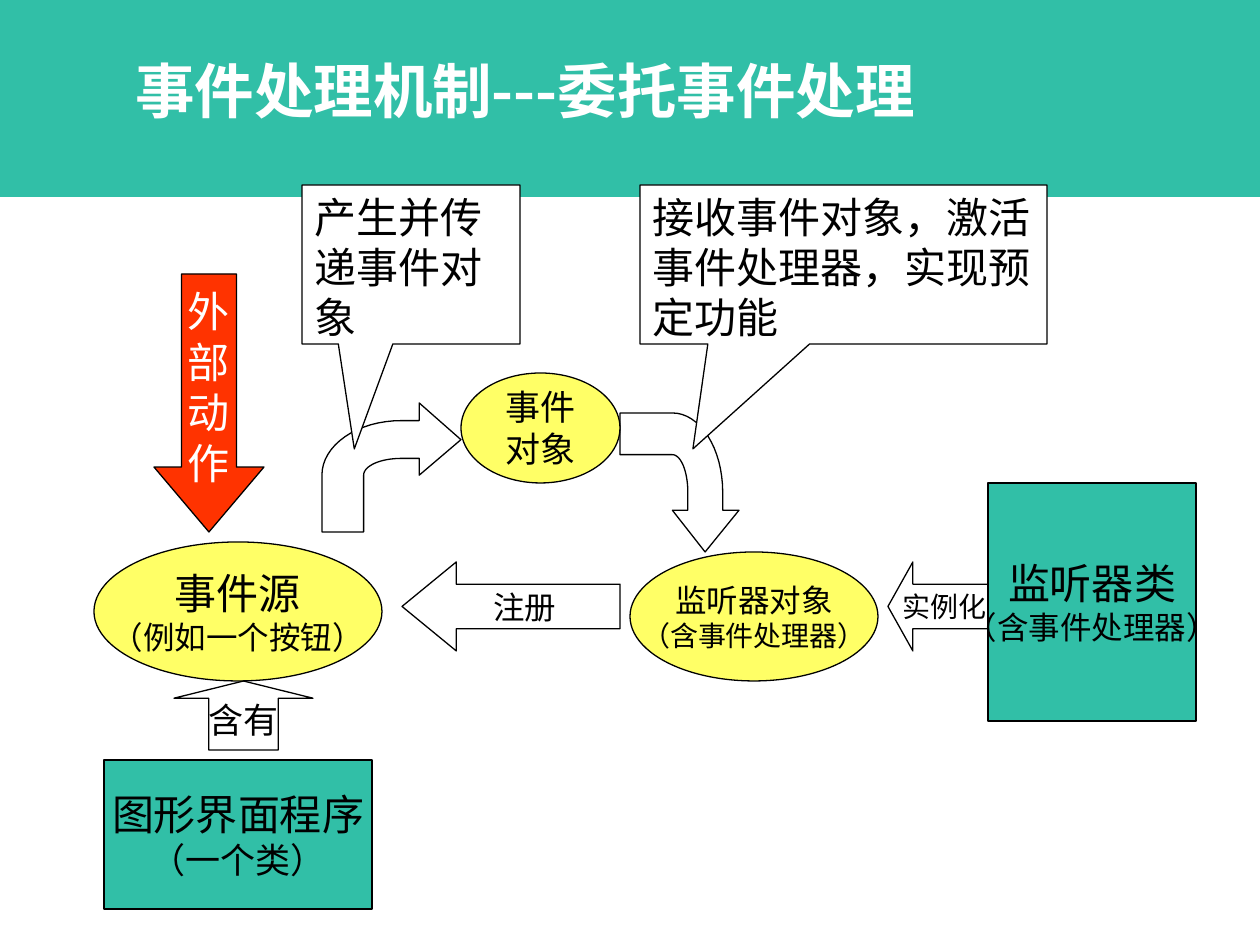
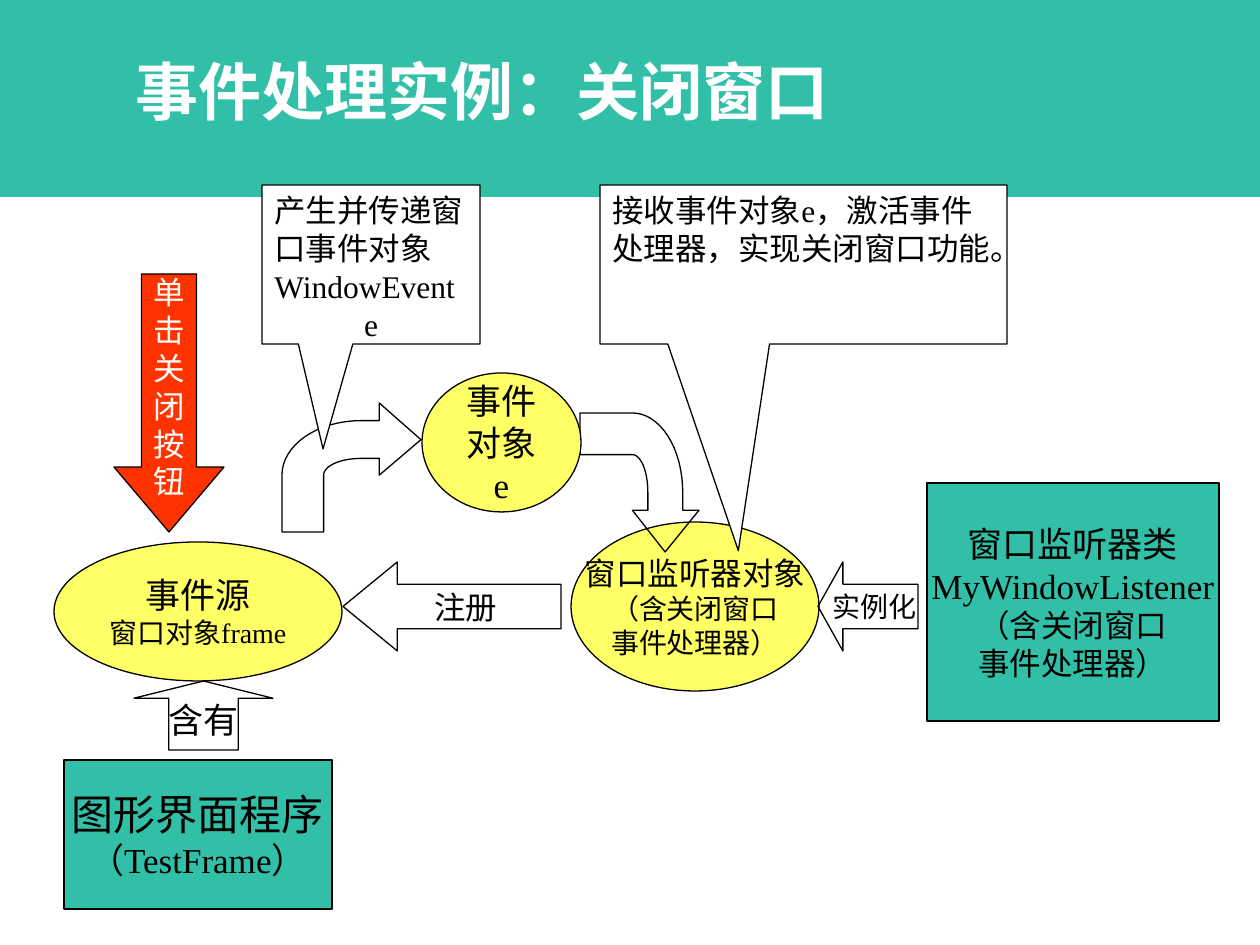
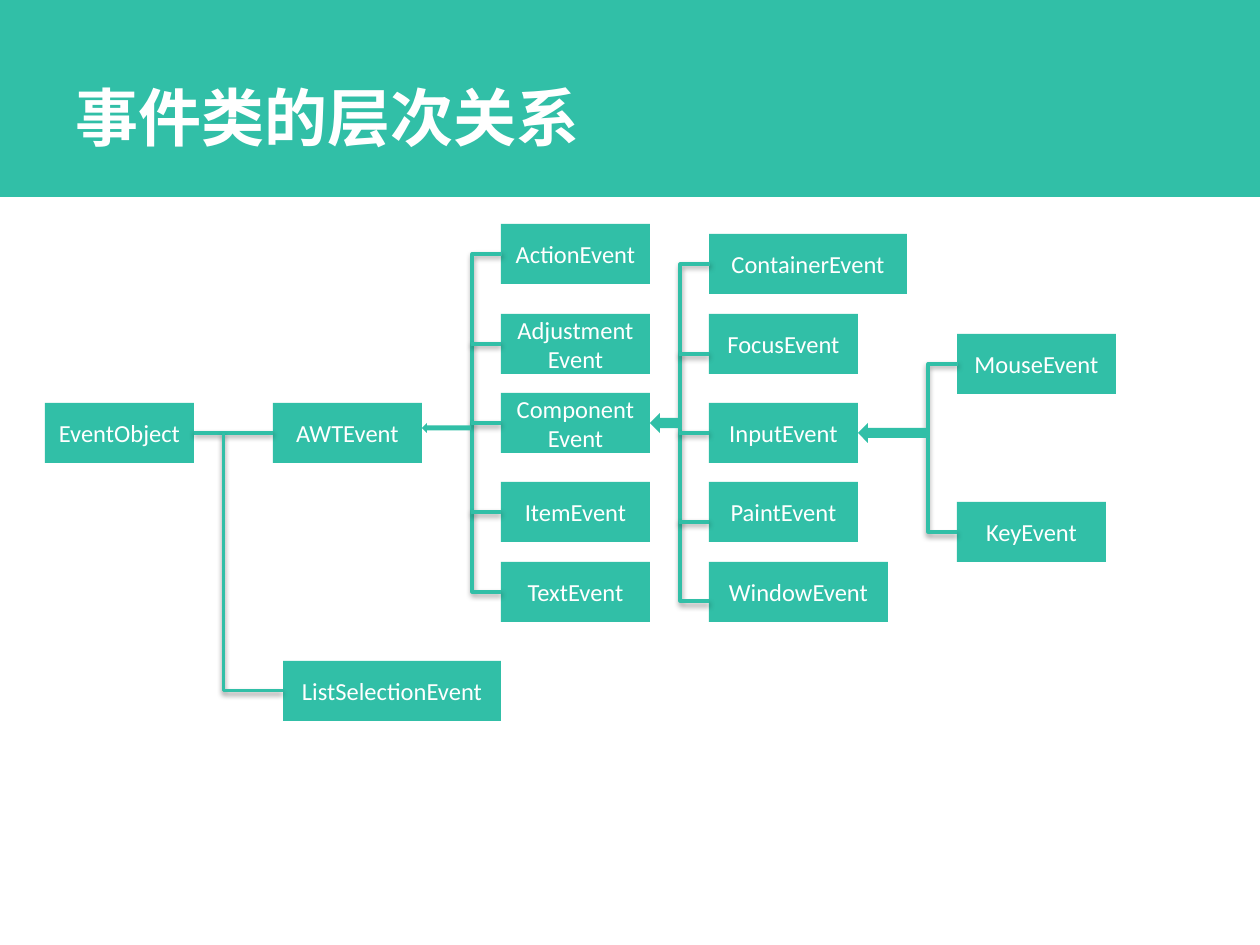
from math import cos, pi, sin

from lxml.etree import SubElement
from pptx import Presentation
from pptx.dml.color import RGBColor
from pptx.enum.shapes import MSO_CONNECTOR, MSO_SHAPE
from pptx.enum.text import MSO_ANCHOR, PP_ALIGN
from pptx.oxml.ns import qn
from pptx.util import Emu, Pt

TEAL = RGBColor(0x31, 0xBF, 0xA7)
YELLOW = RGBColor(0xFF, 0xFF, 0x66)
RED = RGBColor(0xFF, 0x33, 0x00)
WHITE = RGBColor(0xFF, 0xFF, 0xFF)
BLACK = RGBColor(0x00, 0x00, 0x00)
HEADING, SERIF, SANS = "Noto Sans CJK SC", "Times New Roman", "Calibri"
LEFT, CENTER = PP_ALIGN.LEFT, PP_ALIGN.CENTER

# ---- Content: two event-flow slides sharing one layout ----
# part: (preset or None for a bent arrow, adjustments, fill, box)
FLOW = {
    "program": (MSO_SHAPE.RECTANGLE, (), TEAL, (104, 760, 268, 149)),
    "listener class": (MSO_SHAPE.RECTANGLE, (), TEAL, (988, 483, 208, 238)),
    "listener": (MSO_SHAPE.OVAL, (), YELLOW, (630, 552, 248, 129)),
    "instantiate": (MSO_SHAPE.LEFT_ARROW, (0.5, 0.28), None, (888, 562, 100, 89)),
    "register": (MSO_SHAPE.LEFT_ARROW, (0.5, 0.61), None, (402, 562, 218, 89)),
    "action": (MSO_SHAPE.DOWN_ARROW, (0.5, 0.59), RED, (154, 274, 110, 258)),
    "deliver": (None, 90, None, (610, 423, 139, 119)),
    "event": (MSO_SHAPE.OVAL, (), YELLOW, (461, 373, 159, 110)),
    "emit": (None, 0, None, (322, 403, 139, 129)),
    "emit note": (MSO_SHAPE.RECTANGULAR_CALLOUT, (-0.26, 1.16), WHITE, (302, 185, 218, 159)),
    "deliver note": (MSO_SHAPE.RECTANGULAR_CALLOUT, (-0.37, 1.16), WHITE, (640, 185, 407, 159)),
    "source": (MSO_SHAPE.OVAL, (), YELLOW, (94, 542, 288, 139)),
    "contains": (MSO_SHAPE.UP_ARROW, (0.5, 0.25), None, (174, 681, 139, 69)),
}
SHARED_LABELS = {
    "instantiate": [("实例化", 16)],
    "register": [("注册", 18)],
    "contains": [("含有", 20)],
}
FLOW_SLIDES = [
    {
        "title": ("事件处理机制---委托事件处理", 34),
        "shift": 0,
        "boxes": {},
        "pointers": {},
        "labels": {
            "program": [("图形界面程序", 24), ("（一个类）", 20)],
            "listener class": [("监听器类", 24), ("（含事件处理器）", 18)],
            "listener": [("监听器对象", 18), ("（含事件处理器）", 16)],
            "action": [(sign, 24) for sign in "外部动作"],
            "event": [("事件", 20), ("对象", 20)],
            "emit note": [("产生并传递事件对象", 24, LEFT)],
            "deliver note": [("接收事件对象，激活事件处理器，实现预定功能", 24, LEFT)],
            "source": [("事件源", 24), ("（例如一个按钮）", 18)],
        },
    },
    {
        "title": ("事件处理实例：关闭窗口", 36),
        "shift": -40,
        "boxes": {
            "listener class": (927, 483, 292, 238),
            "listener": (571, 522, 248, 169),
            "instantiate": (818, 562, 100, 89),
            "register": (343, 562, 218, 89),
            "event": (422, 373, 159, 139),
        },
        "pointers": {"emit note": (-0.22, 1.16), "deliver note": (-0.16, 1.8)},
        "labels": {
            "program": [("图形界面程序", 24), ("（TestFrame）", 20)],
            "listener class": [("窗口监听器类", 20), ("MyWindowListener", 20),
                               ("（含关闭窗口", 18), ("事件处理器）", 18)],
            "listener": [("窗口监听器对象", 18), ("（含关闭窗口", 16), ("事件处理器）", 16)],
            "action": [(sign, 18) for sign in "单击关闭按钮"],
            "event": [("事件", 20), ("对象", 20), ("e", 20)],
            "emit note": [("产生并传递窗口事件对象", 18, LEFT),
                          ("WindowEvent", 18, LEFT), ("e", 18)],
            "deliver note": [("接收事件对象e，激活事件处理器，实现关闭窗口功能。", 18, LEFT)],
            "source": [("事件源", 20), ("窗口对象frame", 16)],
        },
    },
]

# ---- Content: class tree ----
TREE_TITLE = ("事件类的层次关系", 36)
CLASS_HEIGHT = 60
ROOTS = [("EventObject", 45, 403, 149), ("AWTEvent", 273, 403, 149),
         ("ListSelectionEvent", 283, 661, 218)]
# (left, [(class, top, width, height of its branch)], arrow to the parent)
FAMILIES = [
    (501, [("ActionEvent", 224, 149, 254), ("AdjustmentEvent", 314, 149, 344),
           ("ComponentEvent", 393, 149, 423), ("ItemEvent", 482, 149, 512),
           ("TextEvent", 562, 149, 592)], (422, 423, 49, 10)),
    (709, [("ContainerEvent", 234, 198, 264), ("FocusEvent", 314, 149, 354),
           ("InputEvent", 403, 149, 433), ("PaintEvent", 482, 149, 522),
           ("WindowEvent", 562, 179, 601)], (650, 413, 30, 20)),
    (957, [("MouseEvent", 334, 159, 364), ("KeyEvent", 502, 149, 532)],
     (858, 423, 69, 20)),
]
BRANCH = 30


def px(*lengths):
    return [Emu(round(n * 914400 / 126)) for n in lengths]


# ---- Shared drawing ----
def write(shape, lines, font, color, bold=False, wrap=True, anchor=MSO_ANCHOR.MIDDLE):
    frame = shape.text_frame
    frame.word_wrap = wrap
    frame.vertical_anchor = anchor
    for i, (text, size, *align) in enumerate(lines):
        paragraph = frame.add_paragraph() if i else frame.paragraphs[0]
        paragraph.text = text
        paragraph.alignment = align[0] if align else CENTER
        paragraph.font.size = Pt(size)
        paragraph.font.bold = bold
        paragraph.font.color.rgb = color
        paragraph.font.name = font
        defaults = paragraph._p.pPr.find(qn("a:defRPr"))
        SubElement(defaults, qn("a:ea")).set("typeface", HEADING)


def paint(shape, fill, line=None):
    shape.shadow.inherit = False
    if fill is None:
        shape.fill.background()
    else:
        shape.fill.solid()
        shape.fill.fore_color.rgb = fill
    if line is None:
        shape.line.fill.background()
    else:
        shape.line.color.rgb = line
        shape.line.width = Pt(0.75)


def add_preset(slide, preset, box, fill, line=None, adjustments=()):
    shape = slide.shapes.add_shape(preset, *px(*box))
    paint(shape, fill, line)
    for i, value in enumerate(adjustments):
        shape.adjustments[i] = value
    return shape


def titled_slide(deck, title, box):
    slide = deck.slides.add_slide(deck.slide_layouts[6])
    add_preset(slide, MSO_SHAPE.RECTANGLE, (0, 0, 1260, 197), TEAL)
    heading = slide.shapes.add_textbox(*px(*box))
    write(heading, [(*title, LEFT)], HEADING, WHITE, bold=True)
    return slide


# ---- Event flow ----
def add_bent_arrow(slide, box, turn):
    left, top, width, height = box

    def arc(rx, ry, angles):
        return [(0.57 - rx * cos(a), 0.56 - ry * sin(a)) for a in angles]

    quarter = [pi / 2 * i / 16 for i in range(17)]
    outline = [(1, 0.285), (0.7, 0), (0.7, 0.137), *arc(0.57, 0.423, quarter[::-1]),
               (0, 1), (0.3, 1), *arc(0.27, 0.13, quarter), (0.7, 0.43), (0.7, 0.56)]
    points = [tuple(px(left + x * width, top + y * height)) for x, y in outline]
    builder = slide.shapes.build_freeform(*points[0], scale=1.0)
    builder.add_line_segments(points[1:], close=True)
    arrow = builder.convert_to_shape()
    paint(arrow, None, BLACK)
    arrow.rotation = turn


def flow_slide(deck, content):
    slide = titled_slide(deck, content["title"], (123, 35, 1071, 110))
    labels = {**SHARED_LABELS, **content["labels"]}
    for part, (preset, adjustments, fill, (left, *rest)) in FLOW.items():
        box = content["boxes"].get(part, (left + content["shift"], *rest))
        if preset is None:
            add_bent_arrow(slide, box, adjustments)
            continue
        adjustments = content["pointers"].get(part, adjustments)
        shape = add_preset(slide, preset, box, fill, BLACK, adjustments)
        note = preset == MSO_SHAPE.RECTANGULAR_CALLOUT
        write(shape, labels[part], SERIF, WHITE if fill == RED else BLACK, wrap=note,
              anchor=MSO_ANCHOR.TOP if note else MSO_ANCHOR.MIDDLE)


# ---- Class tree ----
def add_link(slide, kind, *ends):
    link = slide.shapes.add_connector(kind, *px(*ends))
    link.line.color.rgb = TEAL
    link.line.width = Pt(2)
    effects = SubElement(link._element.spPr, qn("a:effectLst"))
    shadow = SubElement(effects, qn("a:outerShdw"), blurRad="40000", dist="20000",
                        dir="5400000", rotWithShape="0")
    black = SubElement(shadow, qn("a:srgbClr"), val="000000")
    SubElement(black, qn("a:alpha"), val="38000")
    return link


def add_elbow(slide, ends, preset, rotation, flip):
    link = add_link(slide, MSO_CONNECTOR.ELBOW, *ends)
    properties = link._element.spPr
    properties.xfrm.set("rot", str(rotation * 60000))
    properties.xfrm.set(flip, "1")
    geometry = properties.find(qn("a:prstGeom"))
    geometry.set("prst", preset)
    return geometry


def add_bracket(slide, left, top, bottom):
    geometry = add_elbow(slide, (left, top, left + 1, bottom), "bentConnector3", 180, "flipV")
    guides = geometry.find(qn("a:avLst"))
    if guides is None:
        guides = SubElement(geometry, qn("a:avLst"))
    # The box is 1 px wide, so the bend lies BRANCH widths away
    SubElement(guides, qn("a:gd"), name="adj1", fmla=f"val {BRANCH * 100000}")


def add_class(slide, name, left, top, width):
    box = add_preset(slide, MSO_SHAPE.RECTANGLE, (left, top, width, CLASS_HEIGHT), TEAL)
    write(box, [(name, 14)], SANS, WHITE)
    return box


def tree_slide(deck):
    slide = titled_slide(deck, TREE_TITLE, (63, 38, 1134, 157))
    root, awt, _ = [add_class(slide, *item) for item in ROOTS]
    link = add_link(slide, MSO_CONNECTOR.STRAIGHT, 194, 433, 273, 433)
    link.begin_connect(root, 3)
    link.end_connect(awt, 1)
    add_elbow(slide, (124, 532, 382, 591), "bentConnector2", 270, "flipH")

    for left, members, arrow in FAMILIES:
        boxes = [add_class(slide, name, left, top, width) for name, top, width, _ in members]
        add_bracket(slide, left, members[0][3], members[-1][3])
        for box, (_, top, _, y) in list(zip(boxes, members))[1:-1]:
            branch = add_link(slide, MSO_CONNECTOR.STRAIGHT, left - BRANCH, y, left, y)
            if y == top + CLASS_HEIGHT // 2:
                branch.end_connect(box, 1)
        add_preset(slide, MSO_SHAPE.LEFT_ARROW, arrow, TEAL)


def main():
    deck = Presentation()
    deck.slide_width, deck.slide_height = px(1260, 945)
    for content in FLOW_SLIDES:
        flow_slide(deck, content)
    tree_slide(deck)
    deck.save("out.pptx")


if __name__ == "__main__":
    main()
